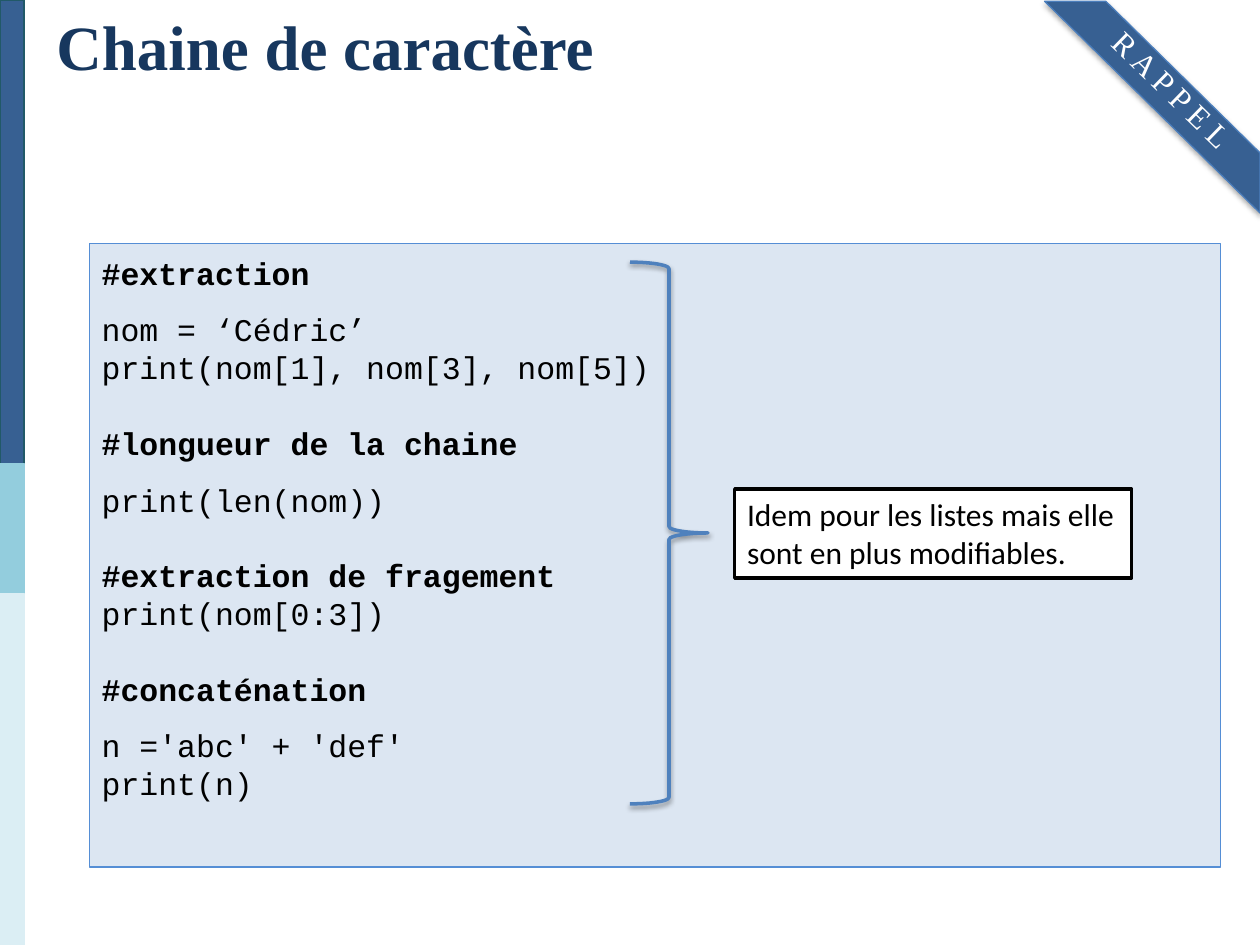
import pptx
import pptx.util
import pptx.dml.color
import pptx.enum.shapes
import pptx.enum.text
import pptx.oxml.ns
import lxml.etree

Pt = pptx.util.Pt
SHAPE = pptx.enum.shapes.MSO_SHAPE
ALIGN = pptx.enum.text.PP_ALIGN
ANCHOR = pptx.enum.text.MSO_ANCHOR

COLORS = {
    "navy": "376092", "teal_edge": "215968", "aqua": "93CDDD", "ice": "DBEEF4",
    "title": "17375E", "panel": "DCE6F2", "panel_edge": "558ED5",
    "ribbon_edge": "4B7EBC", "brace": "4F81BD", "black": "000000", "white": "FFFFFF",
}

# Font formats
TITLE = {"name": "Times New Roman", "size": Pt(36), "bold": True}
RIBBON = {"name": "Times New Roman", "size": Pt(18)}
CODE = {"name": "Courier New", "size": Pt(18), "bold": False}
HEADING = {**CODE, "bold": True}
NOTE = {"name": "Calibri", "size": Pt(18)}

LINE = 21.6  # pitch of the code lines
HALF = LINE / 2

# Code lines: text, font format, space before
CODE_LINES = [
    ("#extraction", HEADING, 0),
    ("nom = ‘Cédric’", CODE, HALF),
    ("print(nom[1], nom[3], nom[5])", CODE, 0),
    ("#longueur de la chaine", HEADING, LINE),
    ("print(len(nom))", CODE, HALF),
    ("#extraction de fragement", HEADING, LINE),
    ("print(nom[0:3])", CODE, 0),
    ("#concaténation", HEADING, LINE),
    ("n ='abc' + 'def'", CODE, HALF),
    ("print(n)", CODE, 0),
]


def rgb(name):
    return pptx.dml.color.RGBColor.from_string(COLORS[name])


def add_shape(s, kind, box, fill, line, width=0.75):
    sp = s.shapes.add_shape(kind, *map(Pt, box))
    sp.shadow.inherit = False
    if fill:
        sp.fill.solid()
        sp.fill.fore_color.rgb = rgb(fill)
    else:
        sp.fill.background()
    sp.line.color.rgb = rgb(line)
    sp.line.width = Pt(width)
    return sp


def add_shadow(sp, alpha, blur, dist):
    qn = pptx.oxml.ns.qn
    effects = sp._element.spPr.find(qn("a:effectLst"))
    shadow = lxml.etree.SubElement(
        effects, qn("a:outerShdw"), blurRad=str(Pt(blur)), dist=str(Pt(dist)),
        dir="5400000", rotWithShape="0")
    color = lxml.etree.SubElement(shadow, qn("a:srgbClr"), val=COLORS["black"])
    lxml.etree.SubElement(color, qn("a:alpha"), val=str(alpha * 1000))


def write(p, text, font, color, align=ALIGN.LEFT):
    p.alignment = align
    r = p.add_run()
    r.text = text
    for key, value in font.items():
        setattr(r.font, key, value)
    r.font.color.rgb = rgb(color)


def add_label(s, box, text, font, color, align=ALIGN.LEFT):
    sp = s.shapes.add_textbox(*map(Pt, box))
    sp.text_frame.word_wrap = True
    write(sp.text_frame.paragraphs[0], text, font, color, align)
    return sp


def add_side_bar(s):
    top = 0
    for height, fill, line in [(265, "navy", "teal_edge"), (74, "aqua", "aqua"),
                               (201, "ice", "ice")]:
        add_shape(s, SHAPE.RECTANGLE, (0, top, 13.7, height), fill, line)
        top += height


def add_code_panel(s):
    sp = add_shape(s, SHAPE.RECTANGLE, (51, 139, 646.5, 356.4), "panel", "panel_edge")
    tf = sp.text_frame
    tf.word_wrap = True
    tf.vertical_anchor = ANCHOR.TOP
    tf.margin_top = Pt(6)
    for i, (text, font, before) in enumerate(CODE_LINES):
        p = tf.add_paragraph() if i else tf.paragraphs[0]
        p.line_spacing = Pt(LINE)
        p.space_before = Pt(before)
        write(p, text, font, "black")


def add_ribbon(s):
    sp = add_shape(s, SHAPE.DIAGONAL_STRIPE, (596.9, 0.7, 123.1, 121), "navy", "ribbon_edge")
    sp.adjustments[0] = 0.716
    sp._element.spPr.xfrm.set("flipV", "1")
    sp.rotation = 180
    add_shadow(sp, 35, 3.1, 1.8)
    label = add_label(s, (618.5, 39.6, 109.4, 28.8), "R A P P E L", RIBBON, "white")
    label.text_frame.word_wrap = False
    label.rotation = 44.2


def add_note(s):
    brace = add_shape(s, SHAPE.RIGHT_BRACE, (360, 149.8, 44.6, 309.6), None, "brace", 2)
    add_shadow(brace, 38, 3.1, 1.6)
    sp = add_shape(s, SHAPE.RECTANGLE, (419.8, 279.4, 226.8, 51), "white", "black", 2)
    sp.text_frame.word_wrap = True
    sp.text_frame.vertical_anchor = ANCHOR.TOP
    write(sp.text_frame.paragraphs[0],
          "Idem pour les listes mais elle sont en plus modifiables.", NOTE, "black")


def main():
    prs = pptx.Presentation()
    prs.slide_width, prs.slide_height = Pt(720), Pt(540)
    s = prs.slides.add_slide(prs.slide_layouts[6])

    # Side bar and title
    add_side_bar(s)
    add_label(s, (13.7, 0.7, 344.2, 51.1), "Chaine de caractère", TITLE, "title", ALIGN.CENTER)
    # Code examples
    add_code_panel(s)
    # Corner ribbon
    add_ribbon(s)
    # Brace with remark
    add_note(s)

    prs.save("out.pptx")


if __name__ == "__main__":
    main()
